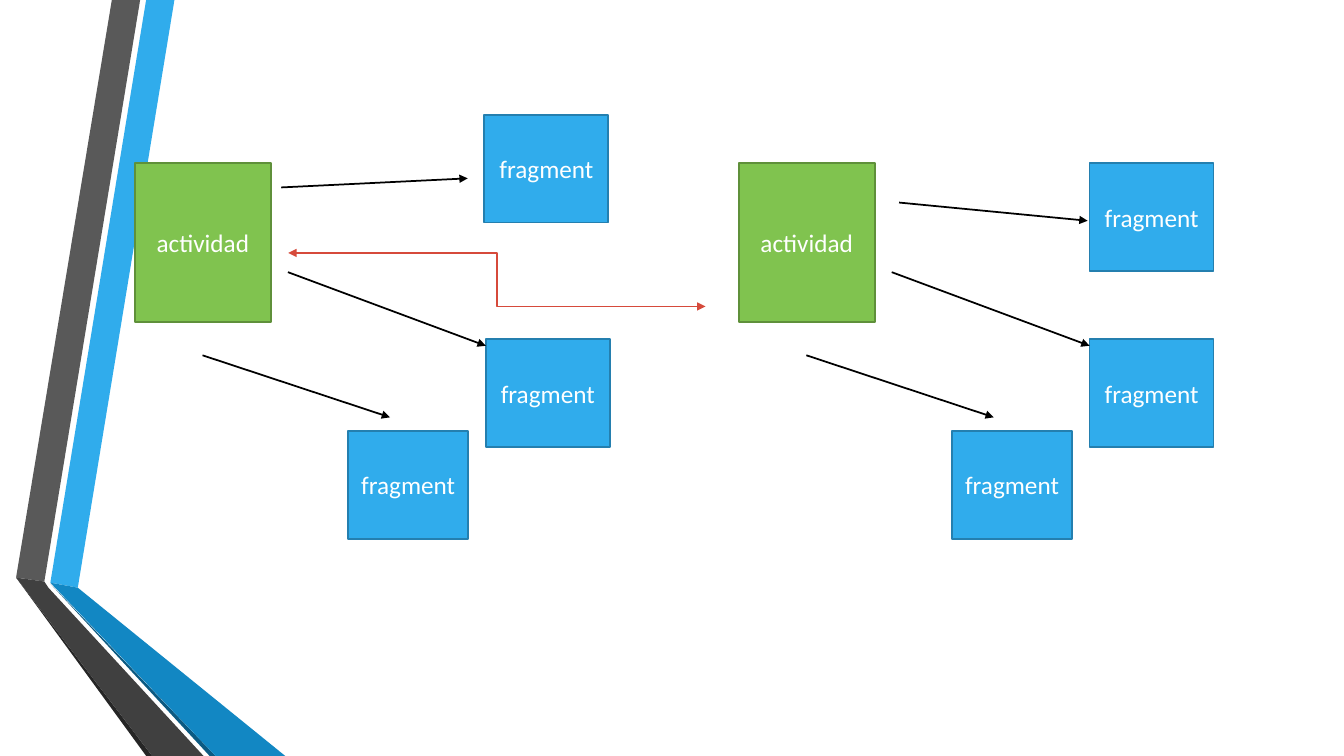
from dataclasses import dataclass

from lxml import etree
from pptx import Presentation
from pptx.dml.color import RGBColor
from pptx.enum.shapes import MSO_CONNECTOR, MSO_SHAPE
from pptx.enum.text import MSO_ANCHOR, PP_ALIGN
from pptx.oxml.ns import qn
from pptx.shapes.autoshape import Shape
from pptx.shapes.connector import Connector
from pptx.slide import Slide
from pptx.util import Pt

RECTANGLE = MSO_SHAPE.RECTANGLE
STRAIGHT, ELBOW = MSO_CONNECTOR.STRAIGHT, MSO_CONNECTOR.ELBOW
CENTER, MIDDLE = PP_ALIGN.CENTER, MSO_ANCHOR.MIDDLE

BLACK = RGBColor(0x00, 0x00, 0x00)
WHITE = RGBColor(0xFF, 0xFF, 0xFF)
GREEN = RGBColor(0x80, 0xC3, 0x4F)
GREEN_EDGE = RGBColor(0x5F, 0x90, 0x3A)
BLUE = RGBColor(0x30, 0xAC, 0xEC)
BLUE_EDGE = RGBColor(0x24, 0x7F, 0xAF)
BLUE_FOLD = RGBColor(0x12, 0x87, 0xC3)
BLUE_SHADE = RGBColor(0x0C, 0x5A, 0x82)
GRAY = RGBColor(0x59, 0x59, 0x59)
GRAY_FOLD = RGBColor(0x40, 0x40, 0x40)
GRAY_SHADE = RGBColor(0x26, 0x26, 0x26)
RED = RGBColor(0xD6, 0x4A, 0x3B)

LINE_WIDTH = 1.25
GROUP_OFFSET = 431.3


@dataclass
class Ribbon:
    color: RGBColor
    points: list[tuple[float, float]]


@dataclass
class Box:
    text: str
    left: float
    top: float
    width: float
    height: float
    fill: RGBColor = BLUE
    edge: RGBColor = BLUE_EDGE


@dataclass
class Arrow:
    start: tuple[float, float]
    end: tuple[float, float]
    color: RGBColor = BLACK
    kind: MSO_CONNECTOR = STRAIGHT
    both_ends: bool = False


def fragment(left: float, top: float, width: float = 88.6) -> Box:
    return Box("fragment", left, top, width, 77)


RIBBONS = [
    Ribbon(BLUE, [(36, 416.2), (55.6, 419.8), (124.6, 0), (104.4, 0)]),
    Ribbon(GRAY, [(100.1, 0), (79.9, 0), (11.5, 412.6), (31.7, 415.4)]),
    Ribbon(GRAY_SHADE, [(11.5, 412.6), (104.4, 540), (108.7, 540)]),
    Ribbon(BLUE_SHADE, [(36, 416.9), (149.8, 540), (154.1, 540)]),
    Ribbon(BLUE_FOLD, [(36, 416.2), (154.1, 540), (203.8, 540), (55.6, 419.8)]),
    Ribbon(GRAY_FOLD, [(145.4, 540), (34.6, 419.8), (31.7, 415.4),
                       (11.5, 412.6), (108.7, 540)]),
]

# Parts that both groups share, placed for the left group
SHARED_BOXES = [
    Box("actividad", 96.3, 116.6, 97.2, 113.2, GREEN, GREEN_EDGE),
    fragment(248.6, 307.9, 86),
    fragment(347, 242.3),
]
SHARED_ARROWS = [
    Arrow((205.7, 194.4), (347, 247)),
    Arrow((144.7, 253.8), (278.6, 298.1)),
]

# The upper fragment differs in each group
UPPER_FRAGMENTS = [fragment(346, 82), fragment(778.3, 116.6)]
UPPER_ARROWS = [
    Arrow((200.9, 133.9), (334.1, 127.4)),
    Arrow((642.2, 144.7), (776.9, 157.7)),
]
ACTIVITY_LINK = Arrow((205.9, 180.7), (504, 218.9), RED, ELBOW, both_ends=True)


def write_text(shape: Shape, text: str, *, size: float = 18, font: str = "Calibri",
               color: RGBColor = WHITE) -> None:
    frame = shape.text_frame
    frame.word_wrap = True
    frame.vertical_anchor = MIDDLE
    paragraph = frame.paragraphs[0]
    paragraph.alignment = CENTER
    run = paragraph.add_run()
    run.text = text
    run.font.size = Pt(size)
    run.font.name = font
    run.font.color.rgb = color


def draw_ribbon(slide: Slide, ribbon: Ribbon) -> Shape:
    corners = [(Pt(x), Pt(y)) for x, y in ribbon.points]
    builder = slide.shapes.build_freeform(*corners[0])
    builder.add_line_segments(corners[1:], close=True)
    shape = builder.convert_to_shape()
    shape.shadow.inherit = False
    shape.fill.solid()
    shape.fill.fore_color.rgb = ribbon.color
    shape.line.fill.background()
    return shape


def draw_box(slide: Slide, box: Box, offset: float = 0) -> Shape:
    shape = slide.shapes.add_shape(RECTANGLE, Pt(box.left + offset), Pt(box.top),
                                   Pt(box.width), Pt(box.height))
    shape.shadow.inherit = False
    shape.fill.solid()
    shape.fill.fore_color.rgb = box.fill
    shape.line.color.rgb = box.edge
    shape.line.width = Pt(LINE_WIDTH)
    write_text(shape, box.text)
    return shape


def draw_arrow(slide: Slide, arrow: Arrow, offset: float = 0) -> Connector:
    (start_x, start_y), (end_x, end_y) = arrow.start, arrow.end
    connector = slide.shapes.add_connector(
        arrow.kind, Pt(start_x + offset), Pt(start_y), Pt(end_x + offset), Pt(end_y))
    connector.line.color.rgb = arrow.color
    connector.line.width = Pt(LINE_WIDTH)
    properties = connector.element.spPr
    line = properties.find(qn("a:ln"))
    for tag in ("a:headEnd", "a:tailEnd") if arrow.both_ends else ("a:tailEnd",):
        etree.SubElement(line, qn(tag), type="triangle")
    etree.SubElement(properties, qn("a:effectLst"))
    return connector


def main() -> None:
    presentation = Presentation()
    presentation.slide_width, presentation.slide_height = Pt(960), Pt(540)
    slide = presentation.slides.add_slide(presentation.slide_layouts[6])

    # Folded ribbons on the left edge
    for ribbon in RIBBONS:
        draw_ribbon(slide, ribbon)

    # Two activities with their fragments
    for index, (upper_box, upper_arrow) in enumerate(zip(UPPER_FRAGMENTS, UPPER_ARROWS)):
        offset = index * GROUP_OFFSET
        for box in SHARED_BOXES:
            draw_box(slide, box, offset)
        draw_box(slide, upper_box)
        for arrow in SHARED_ARROWS:
            draw_arrow(slide, arrow, offset)
        draw_arrow(slide, upper_arrow)

    # Link between the activities
    draw_arrow(slide, ACTIVITY_LINK)

    presentation.save("out.pptx")


if __name__ == "__main__":
    main()
